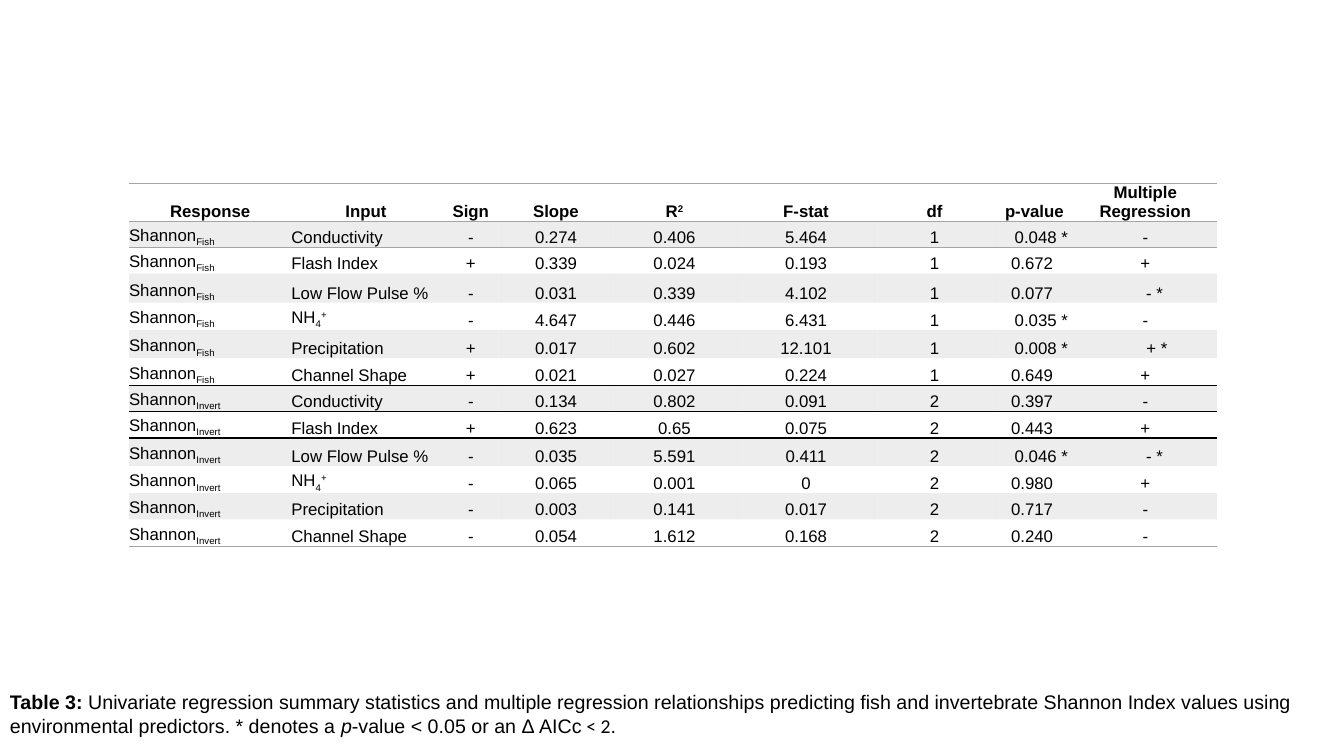
import dataclasses

import pptx
import pptx.dml.color
import pptx.enum.text
import pptx.oxml
import pptx.oxml.ns
import pptx.util

Inches = pptx.util.Inches
ALIGN = pptx.enum.text.PP_ALIGN


@dataclasses.dataclass(frozen=True)
class Theme:
    ink: str = "000000"
    grey: str = "A5A5A5"
    band_alpha: int = 20
    rule_width: float = 1
    heavy_rule_width: float = 1.5
    font: str = "Arial"
    alternate_font: str = "Calibri"
    table_size: int = 12
    caption_size: int = 14
    subscript: int = -25
    superscript: int = 30


THEME = Theme()
UNSTYLED_TABLE = "{2D5ABB26-0587-4C30-8999-92F81FD0307C}"
SPACE = 0.046  # width of one space at table size, in inches

COLUMN_WIDTHS = [1.61, 1.48, 0.6, 1.09, 1.26, 1.35, 1.2, 0.78, 1.42]
ROW_HEIGHTS = [0.28, 0.26, 0.26, 0.29, 0.27, 0.28, 0.27,
               0.26, 0.26, 0.28, 0.27, 0.26, 0.27]
P_VALUE, MULTIPLE = 7, 8

HEADER = ["Response", "Input", "Sign", "Slope",
          [("R", 0), ("2", THEME.superscript)],
          "F-stat", "df", "p-value", "Multiple Regression"]
AMMONIUM = [("NH", 0), ("4", THEME.subscript), ("+", THEME.superscript)]
INPUTS = ["Conductivity", "Flash Index", "Low Flow Pulse %",
          AMMONIUM, "Precipitation", "Channel Shape"]

# Sign, slope, R², F-stat, df, p-value, multiple regression; one row per input
RESULTS = {
    "Fish": [
        ["-", "0.274", "0.406", "5.464", "1", "0.048 *", "-"],
        ["+", "0.339", "0.024", "0.193", "1", "0.672", "+"],
        ["-", "0.031", "0.339", "4.102", "1", "0.077", "- *"],
        ["-", "4.647", "0.446", "6.431", "1", "0.035 *", "-"],
        ["+", "0.017", "0.602", "12.101", "1", "0.008 *", "+ *"],
        ["+", "0.021", "0.027", "0.224", "1", "0.649", "+"],
    ],
    "Invert": [
        ["-", "0.134", "0.802", "0.091", "2", "0.397", "-"],
        ["+", "0.623", "0.65", "0.075", "2", "0.443", "+"],
        ["-", "0.035", "5.591", "0.411", "2", "0.046 *", "- *"],
        ["-", "0.065", "0.001", "0", "2", "0.980", "+"],
        ["-", "0.003", "0.141", "0.017", "2", "0.717", "-"],
        ["-", "0.054", "1.612", "0.168", "2", "0.240", "-"],
    ],
}

GREY_RULE = (THEME.grey, THEME.rule_width)
BLACK_RULE = (THEME.ink, THEME.rule_width)
HEAVY_RULE = (THEME.ink, THEME.heavy_rule_width)
ROW_RULES = {
    0: {"T": GREY_RULE, "B": GREY_RULE},
    1: {"T": GREY_RULE},
    6: {"B": BLACK_RULE},
    7: {"T": BLACK_RULE, "B": HEAVY_RULE},
    8: {"T": HEAVY_RULE},
    12: {"B": GREY_RULE},
}

CAPTION = [
    ("Table 3: ", {"bold": True}),
    ("Univariate regression summary statistics and multiple regression "
     "relationships predicting fish and invertebrate Shannon Index values "
     "using environmental predictors. * denotes a ", {}),
    ("p", {"italic": True}),
    ("-value < 0.05 or an Δ AICc", {}),
    (" < 2", {"name": THEME.alternate_font}),
    (".", {}),
]


def add_run(paragraph, text, size, baseline=0, **formats):
    run = paragraph.add_run()
    run.text = text
    values = {"name": THEME.font, "size": pptx.util.Pt(size), "bold": False}
    for attribute, value in (values | formats).items():
        setattr(run.font, attribute, value)
    run.font.color.rgb = pptx.dml.color.RGBColor.from_string(THEME.ink)
    if baseline:
        run._r.get_or_add_rPr().set("baseline", str(baseline * 1000))


def add_rules(cell, rules):
    properties = cell._tc.get_or_add_tcPr()
    for side, (color, width) in rules.items():
        properties.append(pptx.oxml.parse_xml(
            f'<a:ln{side} {pptx.oxml.ns.nsdecls("a")} w="{pptx.util.Pt(width)}">'
            f'<a:solidFill><a:srgbClr val="{color}"/></a:solidFill>'
            f'</a:ln{side}>'))


def fill_band(cell):
    cell.fill.solid()
    cell.fill.fore_color.rgb = pptx.dml.color.RGBColor.from_string(THEME.grey)
    color = cell._tc.tcPr.find("./" + pptx.oxml.ns.qn("a:solidFill"))[0]
    color.append(pptx.oxml.parse_xml(
        f'<a:alpha {pptx.oxml.ns.nsdecls("a")} val="{THEME.band_alpha * 1000}"/>'))


def side_margins(column, content):
    """Return left and right insets that line up figures with and without a star."""
    starred = content[-1] == "*"
    if column == P_VALUE:
        return (3 * SPACE, 0) if starred else (0, SPACE)
    if column == MULTIPLE and starred:
        return (5 * SPACE, 0) if content[0] == "+" else (4 * SPACE, 0)
    return 0, 0


def format_cell(cell, row, column, content):
    left, right = side_margins(column, content) if row else (0, 0)
    values = {
        "margin_left": Inches(left),
        "margin_right": Inches(right),
        "margin_top": 0,
        "margin_bottom": 0,
        "vertical_anchor": pptx.enum.text.MSO_ANCHOR.BOTTOM,
    }
    for attribute, value in values.items():
        setattr(cell, attribute, value)

    add_rules(cell, ROW_RULES.get(row, {}))
    if row % 2:
        fill_band(cell)
    else:
        cell.fill.background()

    paragraph = cell.text_frame.paragraphs[0]
    paragraph.alignment = ALIGN.LEFT if row and column < 2 else ALIGN.CENTER
    runs = [(content, 0)] if isinstance(content, str) else content
    for text, baseline in runs:
        add_run(paragraph, text, THEME.table_size, baseline, bold=row == 0)


def add_regression_table(slide, left, top, width, height):
    rows = [HEADER]
    for group, results in RESULTS.items():
        response = [("Shannon", 0), (group, THEME.subscript)]
        rows += [[response, predictor, *figures]
                 for predictor, figures in zip(INPUTS, results)]

    frame = slide.shapes.add_table(
        len(rows), len(HEADER),
        Inches(left), Inches(top), Inches(width), Inches(height))
    table = frame.table
    table.first_row = table.horz_banding = False
    table._tbl.tblPr.find(pptx.oxml.ns.qn("a:tableStyleId")).text = UNSTYLED_TABLE
    for column, column_width in zip(table.columns, COLUMN_WIDTHS):
        column.width = Inches(column_width)
    for row, row_height in zip(table.rows, ROW_HEIGHTS):
        row.height = Inches(row_height)

    for row, contents in enumerate(rows):
        for column, content in enumerate(contents):
            format_cell(table.cell(row, column), row, column, content)


def add_caption(slide, left, top, width, height):
    caption = slide.shapes.add_textbox(
        Inches(left), Inches(top), Inches(width), Inches(height))
    caption.text_frame.word_wrap = True
    for text, formats in CAPTION:
        add_run(caption.text_frame.paragraphs[0], text,
                THEME.caption_size, **formats)


def main():
    presentation = pptx.Presentation()
    presentation.slide_width = Inches(13.33)
    presentation.slide_height = Inches(7.5)
    slide = presentation.slides.add_slide(presentation.slide_layouts[6])
    add_regression_table(slide, 1.28, 1.82, sum(COLUMN_WIDTHS), sum(ROW_HEIGHTS))
    add_caption(slide, 0, 6.8, 13.33, 0.57)
    presentation.save("out.pptx")


if __name__ == "__main__":
    main()
